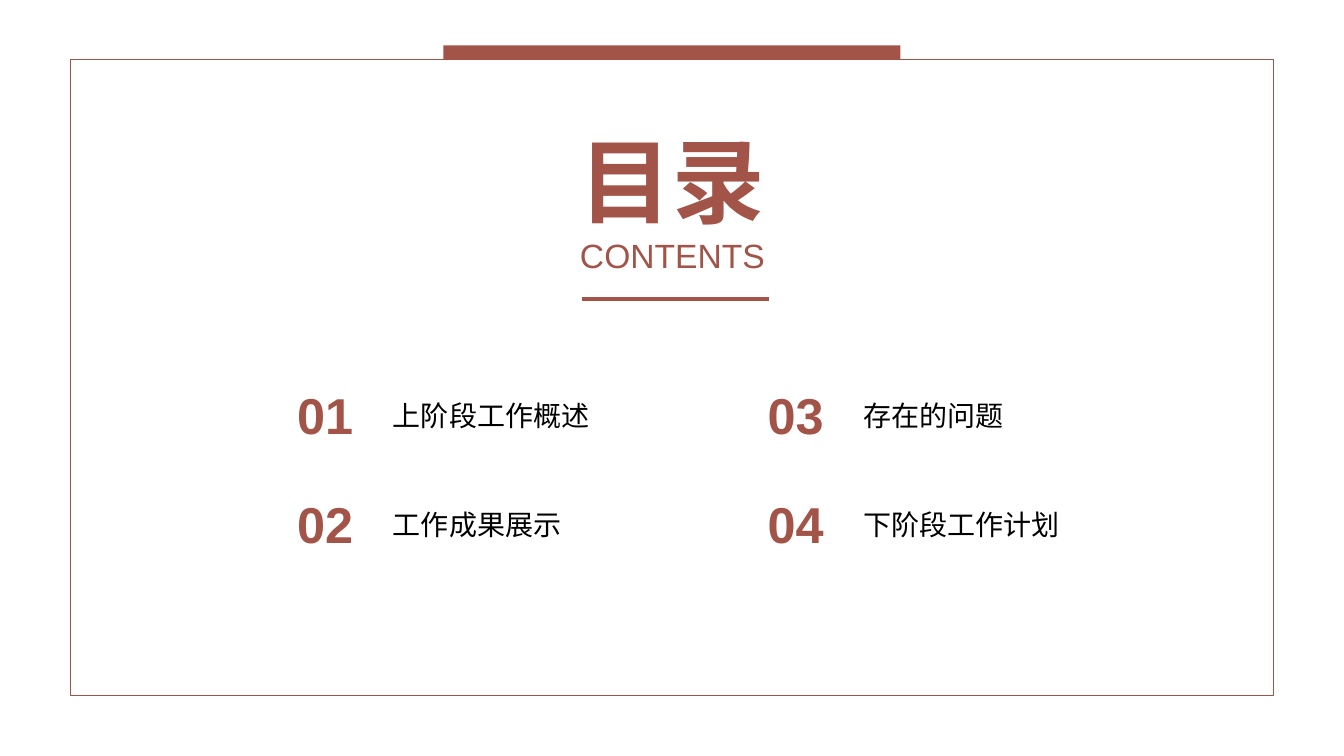
from lxml import etree
from pptx import Presentation
from pptx import util as u
from pptx.dml.color import RGBColor
from pptx.enum import shapes, text
from pptx.oxml.ns import qn

RUST, BLACK, WHITE = "A25448", "000000", "FFFFFF"
LATIN, CHINESE = "Arial", "Noto Sans CJK SC"


def color(value):
    """Turn a hex string into a colour."""
    return RGBColor.from_string(value)


class ContentsSlide:
    """Draw styled elements on a slide grid of 160 columns by 90 rows."""

    formats = {
        "title": {"name": CHINESE, "size": u.Pt(66), "bold": True, "color": RUST},
        "subtitle": {"name": LATIN, "size": u.Pt(24), "bold": False, "color": RUST},
        "number": {"name": LATIN, "size": u.Pt(36), "bold": True, "color": RUST},
        "label": {"name": CHINESE, "size": u.Pt(20), "bold": False, "color": BLACK},
    }

    def __init__(self, presentation):
        """Add a blank slide and measure its grid."""
        self.slide = presentation.slides.add_slide(presentation.slide_layouts[6])
        self.column = presentation.slide_width / 160
        self.row = presentation.slide_height / 90

    def place(self, *lengths):
        """Turn alternating columns and rows into slide lengths."""
        units = (self.column, self.row) * 2
        return [u.Emu(round(length * unit)) for length, unit in zip(lengths, units)]

    def rectangle(self, area, fill, outline=None):
        """Draw a filled rectangle with an optional outline."""
        shape = self.slide.shapes.add_shape(shapes.MSO_SHAPE.RECTANGLE, *self.place(*area))
        shape.shadow.inherit = False
        shape.fill.solid()
        shape.fill.fore_color.rgb = color(fill)
        if outline:
            shape.line.color.rgb = color(outline)
            shape.line.width = u.Pt(1)
        else:
            shape.line.fill.background()

    def rule(self, start, end, row):
        """Draw a horizontal rule."""
        connector = self.slide.shapes.add_connector(
            shapes.MSO_CONNECTOR.STRAIGHT, *self.place(start, row, end, row))
        connector.line.color.rgb = color(RUST)
        connector.line.width = u.Pt(3)
        etree.SubElement(connector._element.spPr, qn("a:effectLst"))

    def text(self, area, lines, alignment, wrap=True):
        """Write one paragraph for each pair of words and format."""
        frame = self.slide.shapes.add_textbox(*self.place(*area)).text_frame
        frame.word_wrap = wrap
        frame.auto_size = text.MSO_AUTO_SIZE.SHAPE_TO_FIT_TEXT
        for index, (words, style) in enumerate(lines):
            paragraph = frame.add_paragraph() if index else frame.paragraphs[0]
            paragraph.alignment = alignment
            run = paragraph.add_run()
            run.text = words
            for name, value in self.formats[style].items():
                if name == "color":
                    run.font.color.rgb = color(value)
                else:
                    setattr(run.font, name, value)
            east_asian = etree.SubElement(run._r.get_or_add_rPr(), qn("a:ea"))
            east_asian.set("typeface", self.formats[style]["name"])

    def entry(self, index, label, width):
        """Write a numbered entry, two to each column."""
        across, down = divmod(index, 2)
        left, top = 34.2 + 56 * across, 45.1 + 13 * down
        self.text((left, top, 10.7, 8.5), [(f"{index + 1:02}", "number")],
                  text.PP_ALIGN.LEFT)
        self.text((left + 11.4, top + 1.7, width, 5.3), [(label, "label")],
                  text.PP_ALIGN.JUSTIFY)


def main():
    """Build and save the contents slide."""
    presentation = Presentation()
    presentation.slide_width = u.Inches(13.33)
    presentation.slide_height = u.Inches(7.5)
    contents = ContentsSlide(presentation)
    contents.rectangle((52.8, 5.4, 54.4, 23.2), RUST)
    contents.rectangle((8.4, 7.1, 143.2, 75.7), WHITE, RUST)
    entries = [("上阶段工作概述", 40.8), ("工作成果展示", 30),
               ("存在的问题", 19.4), ("下阶段工作计划", 26)]
    for index, (label, width) in enumerate(entries):
        contents.entry(index, label, width)
    contents.text((67.8, 14.2, 24.5, 19.3),
                  [("目录", "title"), ("CONTENTS", "subtitle")],
                  text.PP_ALIGN.CENTER, wrap=False)
    contents.rule(69.3, 91.6, 35.6)
    presentation.save("out.pptx")


if __name__ == "__main__":
    main()
